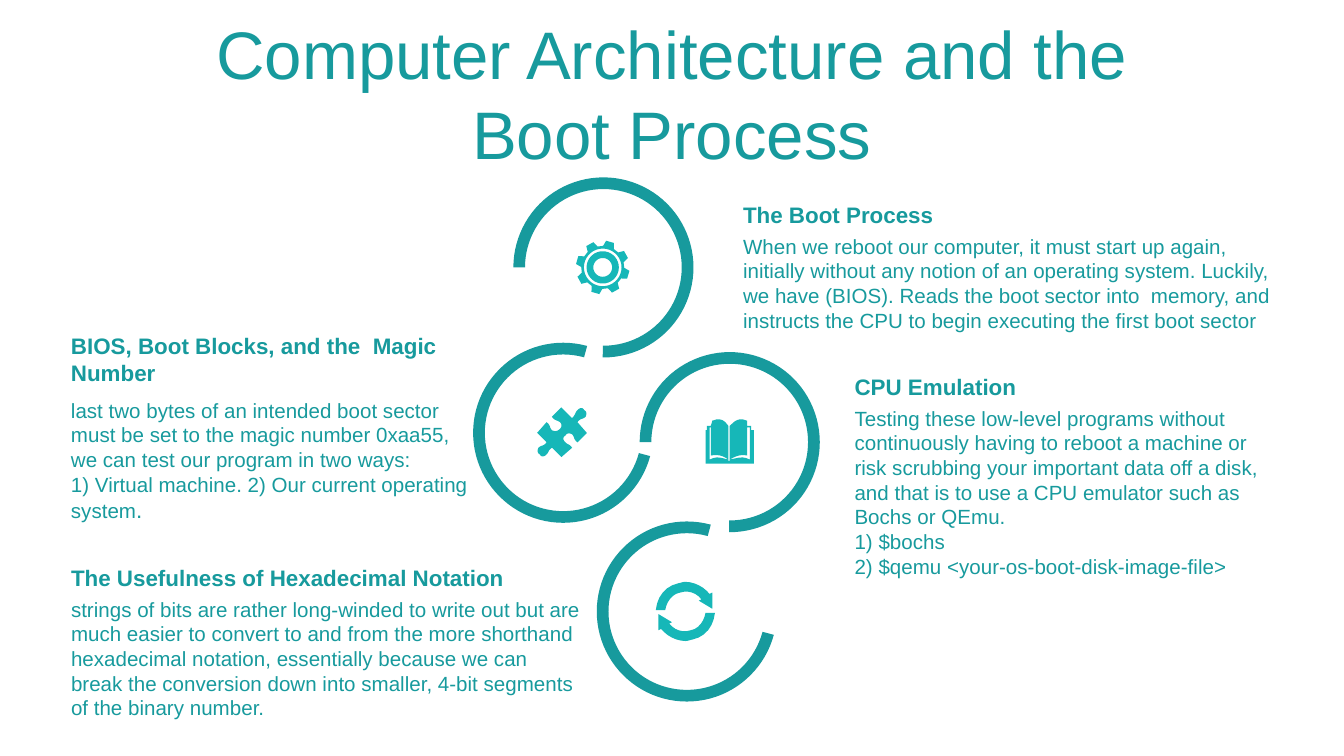
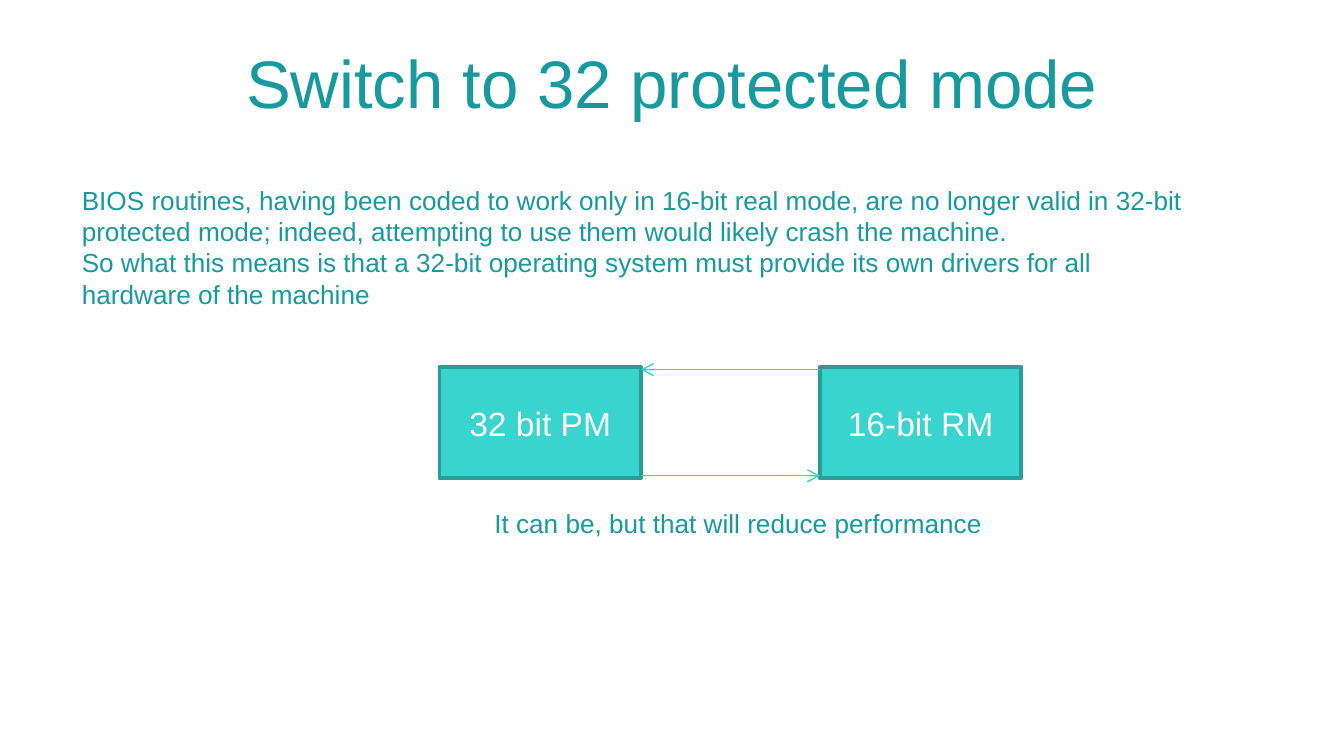
import math

import pptx
import pptx.dml.color
import pptx.enum.shapes
import pptx.enum.text
import pptx.oxml
import pptx.oxml.ns
import pptx.util
from pptx.util import Inches

COLORS = {
    "text": "179A9D",
    "icon": "16B7B8",
    "mode_fill": "38D4CD",
    "mode_line": "299D98",
    "arrow": "33D3CC",
    "white": "FFFFFF",
}
FONT = "Arial"
TITLE_ONLY = 5
SHAPES = pptx.enum.shapes.MSO_SHAPE
ALIGN = pptx.enum.text.PP_ALIGN
MIDDLE = pptx.enum.text.MSO_ANCHOR.MIDDLE

# Icon outlines in inches: M moves, L draws a line, C draws a curve
BOOK = """M 5.42 3.43 C 5.42 3.43 5.43 3.43 5.43 3.43 L 5.43 3.42
C 5.49 3.41 5.52 3.39 5.58 3.42 L 5.58 3.18 L 5.56 3.18
C 5.56 3.25 5.56 3.32 5.56 3.39 C 5.52 3.38 5.48 3.39 5.43 3.42
L 5.43 3.17 C 5.46 3.14 5.48 3.12 5.52 3.12 C 5.53 3.12 5.55 3.13 5.56 3.13
C 5.56 3.14 5.56 3.16 5.56 3.17 L 5.59 3.17 L 5.59 3.2 L 5.61 3.2 L 5.61 3.45
L 5.25 3.45 L 5.25 3.2 L 5.26 3.2 L 5.26 3.17 L 5.29 3.17
C 5.29 3.16 5.3 3.14 5.3 3.13 C 5.31 3.13 5.33 3.12 5.34 3.12
C 5.38 3.12 5.4 3.14 5.42 3.17 L 5.42 3.42 C 5.38 3.39 5.34 3.38 5.29 3.39
L 5.29 3.18 L 5.28 3.18 L 5.28 3.42 C 5.34 3.39 5.37 3.41 5.42 3.42"""
PUZZLE = """M 4.35 3.05 C 4.37 3.06 4.37 3.08 4.36 3.1
C 4.34 3.12 4.32 3.11 4.3 3.14 L 4.37 3.22 L 4.3 3.29
C 4.27 3.27 4.28 3.25 4.26 3.23 C 4.24 3.22 4.22 3.22 4.21 3.24
C 4.19 3.25 4.19 3.27 4.21 3.29 C 4.23 3.31 4.24 3.3 4.26 3.33
L 4.18 3.4 L 4.11 3.33 C 4.08 3.35 4.09 3.36 4.07 3.38
C 4.05 3.4 4.03 3.4 4.02 3.38 C 4 3.37 4 3.35 4.01 3.33
C 4.03 3.31 4.05 3.32 4.07 3.29 L 4 3.22 L 4.07 3.14
C 4.1 3.16 4.09 3.18 4.11 3.2 C 4.13 3.21 4.15 3.21 4.17 3.19
C 4.18 3.18 4.19 3.16 4.17 3.14 C 4.14 3.12 4.13 3.13 4.11 3.1
L 4.18 3.03 L 4.26 3.11 C 4.29 3.08 4.28 3.07 4.3 3.05
C 4.32 3.03 4.34 3.03 4.35 3.05"""
REFRESH_ARROW = """M 5.1 4.33 C 5.17 4.33 5.24 4.37 5.28 4.42 L 5.3 4.41
L 5.3 4.53 L 5.2 4.47 L 5.22 4.46 C 5.18 4.41 5.12 4.39 5.06 4.41
C 5 4.42 4.96 4.48 4.95 4.54 L 4.88 4.54 C 4.89 4.44 4.95 4.36 5.05 4.34
C 5.06 4.34 5.08 4.33 5.1 4.33"""

# Ring arcs: left, top, rotation
RING_SIZE = 1.34
RINGS = [(3.82, 1.32, 0), (3.52, 2.55, 195), (4.76, 2.62, 0), (4.44, 3.88, 195)]

# Topics: heading box, heading lines, body box, body lines
TOPICS = [
    ((0.43, 2.42, 3.17, 0.5), ["BIOS, Boot Blocks, and the  Magic", "Number"],
     (0.43, 2.91, 3.17, 1.04), [
         "last two bytes of an intended boot sector",
         "must be set to the magic number 0xaa55,",
         "we can test our program in two ways:",
         "1) Virtual machine. 2) Our current operating system"]),
    ((0.43, 4.15, 4.02, 0.5), ["The Usefulness of Hexadecimal Notation"],
     (0.43, 4.39, 4.02, 1.03), [
         "strings of bits are rather long-winded to write out but are much easier "
         "to convert to and from the more shorthand hexadecimal notation, "
         "essentially because we can break the conversion down into smaller, "
         "4-bit segments of the binary number."]),
    ((5.43, 1.45, 4.32, 0.3), ["The Boot Process"],
     (5.43, 1.69, 4.22, 0.84), [
         "When we reboot our computer, it must start up again,",
         "initially without any notion of an operating system. Luckily, we have "
         "(BIOS). Reads the boot sector into  memory, and",
         "instructs the CPU to begin executing the first boot sector"]),
    ((6.26, 2.73, 3.39, 0.3), ["CPU Emulation"],
     (6.26, 2.97, 3.39, 1.4), [
         "Testing these low-level programs without",
         "continuously having to reboot a machine or",
         "risk scrubbing your important data off a disk,",
         "and that is to use a CPU emulator such as",
         "Bochs or QEmu.",
         "1) $bochs",
         "2) $qemu <your-os-boot-disk-image-file>"]),
]


def color(name):
    return pptx.dml.color.RGBColor.from_string(COLORS[name])


def paint(shape, fill):
    shape.shadow.inherit = False
    shape.fill.solid()
    shape.fill.fore_color.rgb = color(fill)
    shape.line.fill.background()


def write(frame, lines, size, ink="text", bold=False, align=ALIGN.LEFT):
    frame.word_wrap = True
    frame.text = "\n".join(lines)
    for paragraph in frame.paragraphs:
        paragraph.alignment = align
        paragraph.font.name = FONT
        paragraph.font.size = pptx.util.Pt(size)
        paragraph.font.bold = bold
        paragraph.font.color.rgb = color(ink)


def add_text(shapes, box, lines, size, bold=False):
    frame = shapes.add_textbox(*map(Inches, box)).text_frame
    write(frame, lines, size, bold=bold)
    return frame


def add_title_slide(deck, box, lines):
    slide = deck.slides.add_slide(deck.slide_layouts[TITLE_ONLY])
    title = slide.shapes.title
    title.left, title.top, title.width, title.height = map(Inches, box)
    frame = title.text_frame
    frame.auto_size = pptx.enum.text.MSO_AUTO_SIZE.NONE
    frame.vertical_anchor = MIDDLE
    write(frame, lines, 36, align=ALIGN.CENTER)
    for paragraph in frame.paragraphs:
        paragraph.space_before = pptx.util.Pt(0)
    return slide


# Outlines
def trace(outline, steps=6):
    """Turn an outline into points, sampling its cubic curves."""
    points, tokens = [], iter(outline.split())
    for command in tokens:
        count = 6 if command == "C" else 2
        values = [float(next(tokens)) for _ in range(count)]
        pairs = list(zip(values[::2], values[1::2]))
        if command != "C":
            points += pairs
            continue
        curve = [points[-1]] + pairs
        for step in range(1, steps + 1):
            t = step / steps
            weights = [math.comb(3, k) * t**k * (1 - t)**(3 - k) for k in range(4)]
            points.append(tuple(sum(w * p[axis] for w, p in zip(weights, curve))
                                for axis in (0, 1)))
    return points


def polar(center, radius, degrees):
    angle = math.radians(degrees)
    return center[0] + radius * math.cos(angle), center[1] + radius * math.sin(angle)


def turn(points, center, degrees):
    return [polar(center, math.dist(center, (x, y)),
                  math.degrees(math.atan2(y - center[1], x - center[0])) + degrees)
            for x, y in points]


def circle(center, radius):
    return [polar(center, radius, degrees) for degrees in range(0, 360, 10)]


def gear(center, teeth=8):
    rim = []
    for tooth in range(teeth):
        middle = tooth * 360 / teeth - 74
        rim += [polar(center, radius, middle + offset) for radius, offset in
                ((0.16, -15), (0.2, -8.7), (0.2, 8.7), (0.16, 15))]
    return [rim] + [circle(center, radius) for radius in (0.14, 0.12, 0.07)]


def add_icon(slide, contours):
    contours = [[(Inches(x), Inches(y)) for x, y in contour] for contour in contours]
    builder = slide.shapes.build_freeform(*contours[0][0])
    builder.add_line_segments(contours[0][1:], close=True)
    for contour in contours[1:]:
        builder.move_to(*contour[0])
        builder.add_line_segments(contour[1:], close=True)
    icon = builder.convert_to_shape()
    paint(icon, "icon")
    return icon


def add_ring(slide, left, top, rotation):
    ring = slide.shapes.add_shape(SHAPES.BLOCK_ARC, Inches(left), Inches(top),
                                  Inches(RING_SIZE), Inches(RING_SIZE))
    for index, value in enumerate((108, 54.26, 0.065)):
        ring.adjustments[index] = value
    ring.rotation = rotation
    paint(ring, "text")


def add_topic(slide, heading_box, heading, body_box, body):
    topic = slide.shapes.add_group_shape()
    frame = add_text(topic.shapes, body_box, body, 11)
    add_text(topic.shapes, heading_box, heading, 12, bold=True)
    return frame


# Mode diagram
def add_mode(slide, left, top, width, height, label):
    mode = slide.shapes.add_shape(SHAPES.RECTANGLE,
                                  *map(Inches, (left, top, width, height)))
    paint(mode, "mode_fill")
    mode.line.color.rgb = color("mode_line")
    mode.line.width = pptx.util.Pt(2)
    mode.text_frame.vertical_anchor = MIDDLE
    write(mode.text_frame, [label], 18, "white", align=ALIGN.CENTER)


def add_arrow(slide, start, end, y):
    arrow = slide.shapes.add_connector(
        pptx.enum.shapes.MSO_CONNECTOR.STRAIGHT, *map(Inches, (start, y, end, y)))
    arrow.line.color.rgb = color("arrow")
    arrow.line.width = pptx.util.Pt(0.75)
    namespace = pptx.oxml.ns.nsdecls("a")
    arrow.line._get_or_add_ln().append(
        pptx.oxml.parse_xml(f'<a:tailEnd {namespace} type="arrow"/>'))
    arrow._element.spPr.append(pptx.oxml.parse_xml(f"<a:effectLst {namespace}/>"))


def build_boot_slide(deck):
    slide = add_title_slide(deck, (0, 0.14, 10, 1.1),
                            ["Computer Architecture and the", "Boot Process"])
    for ring in RINGS:
        add_ring(slide, *ring)

    add_icon(slide, [trace(BOOK)])
    puzzle_center = (4.185, 3.22)
    add_icon(slide, [turn(trace(PUZZLE), puzzle_center, -45)]).rotation = 45
    add_icon(slide, gear((4.485, 1.99)))

    bios, *_ = [add_topic(slide, *topic) for topic in TOPICS]
    period = bios.paragraphs[-1].add_run()
    period.text = "."
    period.font.size = pptx.util.Pt(12)

    arrow = trace(REFRESH_ARROW)
    add_icon(slide, [arrow, turn(arrow, (5.1, 4.55), 180)])


def build_mode_slide(deck):
    slide = add_title_slide(deck, (0, 0.29, 10, 0.63), ["Switch to 32 protected mode"])
    add_text(slide.shapes, (0.51, 1.32, 8.58, 1.28), [
        "BIOS routines, having been coded to work only in 16-bit real mode, are no "
        "longer valid in 32-bit protected mode; indeed, attempting to use them "
        "would likely crash the machine.",
        "So what this means is that a 32-bit operating system must provide its own "
        "drivers for all hardware of the machine"], 14)

    protected_left, real_left, top, width, height = 3.27, 6.1, 2.73, 1.5, 0.83
    add_mode(slide, protected_left, top, width, height, "32 bit PM")
    add_mode(slide, real_left, top, width, height, "16-bit RM")
    protected_right = protected_left + width
    add_arrow(slide, protected_right, real_left, top + height - 0.02)
    add_arrow(slide, real_left, protected_right, top + 0.02)
    add_text(slide.shapes, (3.58, 3.73, 3.85, 0.34),
             ["It can be, but that will reduce performance"], 14)


def main():
    deck = pptx.Presentation()
    # Widescreen, 16:9
    deck.slide_width = Inches(10)
    deck.slide_height = deck.slide_width * 9 // 16
    build_boot_slide(deck)
    build_mode_slide(deck)
    deck.save("out.pptx")


if __name__ == "__main__":
    main()
